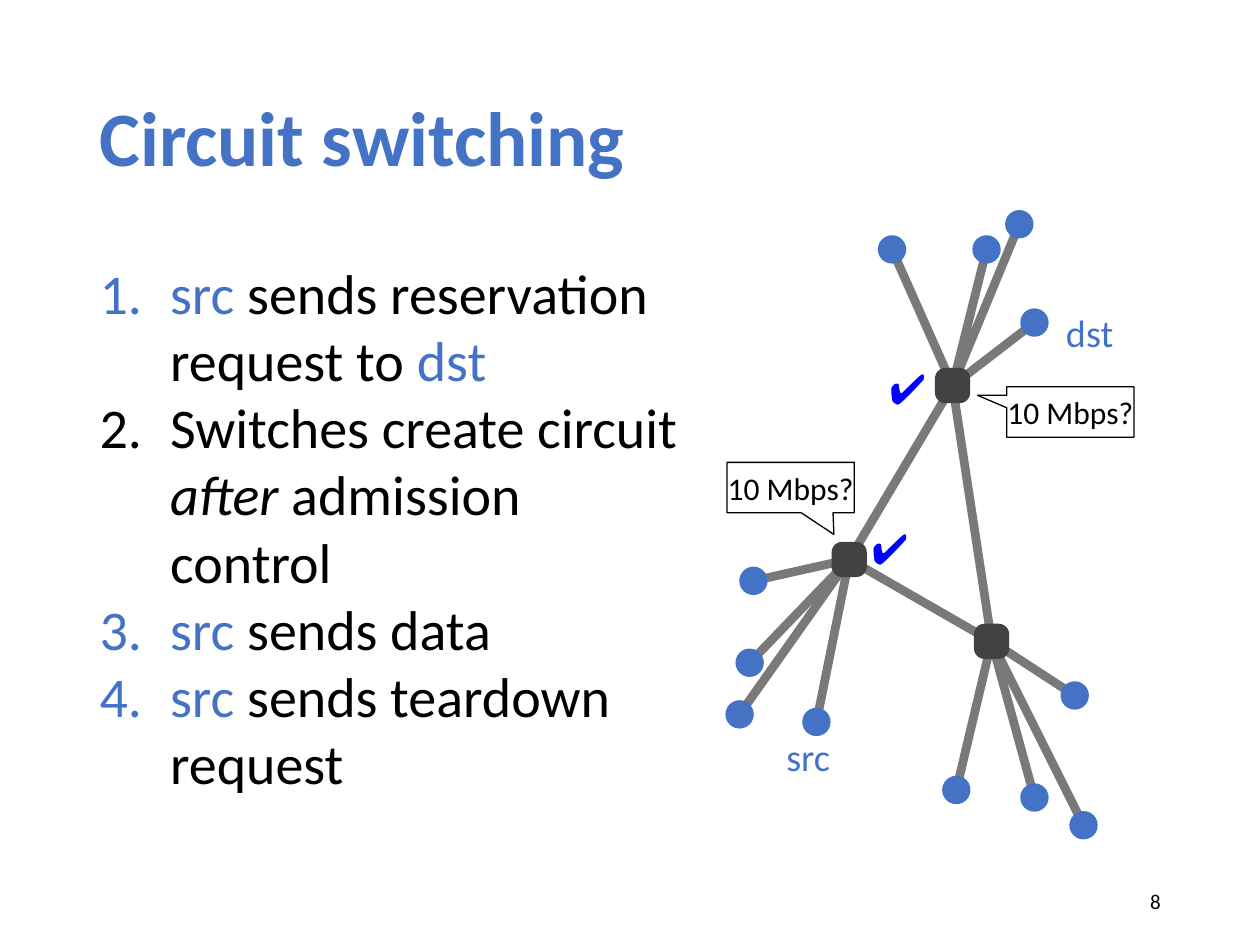
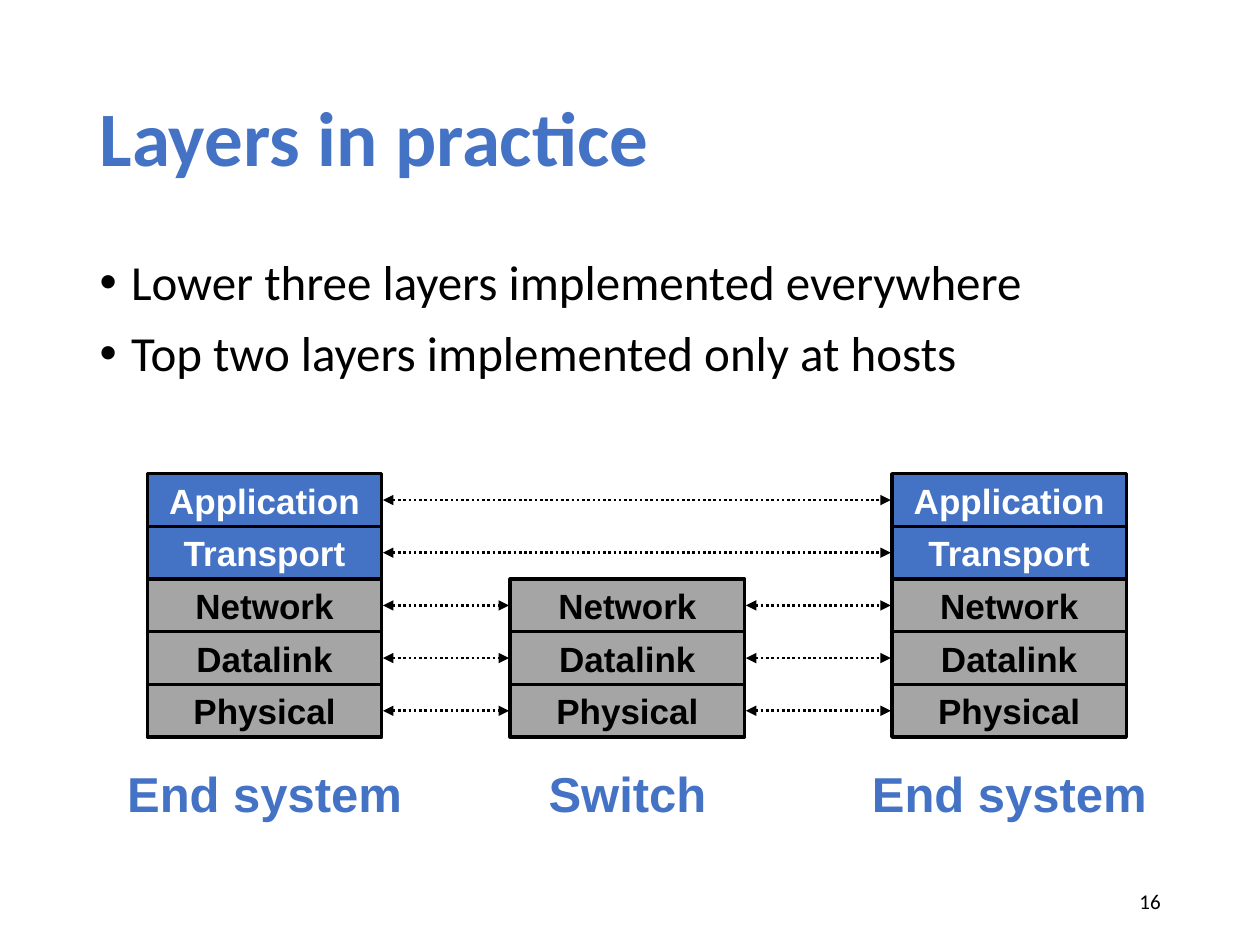
from lxml.etree import SubElement
from pptx import Presentation
from pptx.dml.color import RGBColor
from pptx.enum.dml import MSO_LINE
from pptx.enum.shapes import MSO_CONNECTOR, MSO_SHAPE
from pptx.enum.text import MSO_ANCHOR, MSO_AUTO_SIZE, PP_ALIGN
from pptx.oxml.ns import qn
from pptx.util import Inches, Pt

BLUE = RGBColor(0x44, 0x72, 0xC4)
CHECK_BLUE = RGBColor(0x00, 0x00, 0xFF)
BLACK = RGBColor(0x00, 0x00, 0x00)
WHITE = RGBColor(0xFF, 0xFF, 0xFF)
LINK_GRAY = RGBColor(0x79, 0x79, 0x79)
SWITCH_GRAY = RGBColor(0x42, 0x42, 0x42)
LAYER_GRAY = RGBColor(0xA5, 0xA5, 0xA5)

BODY_FONT, DIAGRAM_FONT = "Calibri", "Arial"
COLUMNS, ROWS = 100, 75
MARGIN, CONTENT_WIDTH = 6.9, 86.2


def write(para, text, size=18, color=BLACK, font=BODY_FONT, bold=False, italic=False):
    span = para.add_run()
    span.text = text
    span.font.size = Pt(size)
    span.font.color.rgb = color
    span.font.name = font
    span.font.bold = bold
    span.font.italic = italic


def set_bullet(para, tag, indent, **attributes):
    properties = para._p.get_or_add_pPr()
    properties.set("marL", str(Inches(indent)))
    properties.set("indent", str(-Inches(indent)))
    SubElement(properties, qn("a:buFont"), typeface="Arial" if tag == "a:buChar" else "+mj-lt")
    SubElement(properties, qn(tag), **attributes)


class SlideBuilder:
    """Places styled elements on the current slide, on a grid of 100 columns by 75 rows."""

    def __init__(self):
        self.deck = Presentation()
        self.deck.slide_width, self.deck.slide_height = Inches(10), Inches(7.5)
        self.slide = None

    def across(self, columns):
        return round(self.deck.slide_width * columns / COLUMNS)

    def down(self, rows):
        return round(self.deck.slide_height * rows / ROWS)

    def area(self, left, top, width, height):
        return self.across(left), self.down(top), self.across(width), self.down(height)

    def place(self, holder, *area):
        holder.left, holder.top, holder.width, holder.height = self.area(*area)
        holder.text_frame.auto_size = MSO_AUTO_SIZE.NONE

    def page(self, title, number):
        self.slide = self.deck.slides.add_slide(self.deck.slide_layouts[1])
        holder = self.slide.shapes.title
        self.place(holder, MARGIN, 4, CONTENT_WIDTH, 14.5)
        holder.text_frame.vertical_anchor = MSO_ANCHOR.MIDDLE
        para = holder.text_frame.paragraphs[0]
        para.alignment = PP_ALIGN.LEFT
        para.line_spacing = 0.9
        write(para, title, size=44, color=BLUE, bold=True)
        self.label(number, 70.6, 69.5, 22.5, 4, align=PP_ALIGN.RIGHT, wrap=True, size=12)

    def items(self, entries, width, size, bullet, indent, spacing=1.0, gap=0, **bullet_attributes):
        """Fill the body; each entry is a list of (text, format) pairs."""
        holder = self.slide.placeholders[1]
        self.place(holder, MARGIN, 20, width, 47.6)
        frame = holder.text_frame
        frame.vertical_anchor = MSO_ANCHOR.TOP
        for index, entry in enumerate(entries):
            para = frame.add_paragraph() if index else frame.paragraphs[0]
            set_bullet(para, bullet, indent, **bullet_attributes)
            para.line_spacing = spacing
            para.space_before = Pt(gap if index else 0)
            for text, style in entry:
                write(para, text, size=size, **style)

    def label(self, text, left, top, width, height, align=PP_ALIGN.LEFT, wrap=False,
              inset=None, anchor=MSO_ANCHOR.MIDDLE, **style):
        box = self.slide.shapes.add_textbox(*self.area(left, top, width, height))
        frame = box.text_frame
        frame.word_wrap = wrap
        frame.vertical_anchor = anchor
        if inset is not None:
            frame.margin_left = frame.margin_right = self.across(inset)
            frame.margin_top = frame.margin_bottom = self.down(inset)
        frame.paragraphs[0].alignment = align
        write(frame.paragraphs[0], text, **style)

    def shape(self, kind, left, top, width, height, fill=None, outline=0, adjust=(), text="", **style):
        shape = self.slide.shapes.add_shape(kind, *self.area(left, top, width, height))
        shape.shadow.inherit = False
        for index, value in enumerate(adjust):
            shape.adjustments[index] = value
        if fill is None:
            shape.fill.background()
        else:
            shape.fill.solid()
            shape.fill.fore_color.rgb = fill
        if outline:
            shape.line.color.rgb = BLACK
            shape.line.width = Pt(outline)
        else:
            shape.line.fill.background()
        if text:
            frame = shape.text_frame
            frame.word_wrap = False
            frame.vertical_anchor = MSO_ANCHOR.MIDDLE
            frame.paragraphs[0].alignment = PP_ALIGN.CENTER
            write(frame.paragraphs[0], text, **style)

    def node(self, kind, center, size, fill, **options):
        x, y = center
        self.shape(kind, x - size / 2, y - size / 2, size, size, fill, **options)

    def line(self, start, end, color, weight, arrows=False):
        (x1, y1), (x2, y2) = start, end
        connector = self.slide.shapes.add_connector(
            MSO_CONNECTOR.STRAIGHT, self.across(x1), self.down(y1), self.across(x2), self.down(y2))
        connector.line.color.rgb = color
        connector.line.width = Pt(weight)
        if arrows:
            connector.line.dash_style = MSO_LINE.ROUND_DOT
            outline = connector.line._get_or_add_ln()
            for tag in ("a:headEnd", "a:tailEnd"):
                SubElement(outline, qn(tag), type="triangle")
        SubElement(connector._element.spPr, qn("a:effectLst"))


def build_circuit_switching(builder):
    builder.page("Circuit switching", "8")
    blue, plain, italic = {"color": BLUE}, {}, {"italic": True}
    builder.items([
        [("src ", blue), ("sends reservation request to ", plain), ("dst", blue)],
        [("Switches create circuit ", plain), ("after", italic), (" admission control", plain)],
        [("src ", blue), ("sends data", plain)],
        [("src ", blue), ("sends teardown request", plain)],
    ], width=49, size=32, bullet="a:buAutoNum", indent=0.56, type="arabicPeriod")

    north, west, south = (75.6, 30.6), (67.4, 44.4), (78.7, 50.9)
    hosts = {
        north: [(70.8, 19.8), (78.3, 19.8), (80.9, 17.8), (82.1, 25.6)],
        west: [(59.8, 46.1), (59.5, 52.6), (58.7, 56.7), (64.8, 57.3)],
        south: [(75.9, 62.7), (82.1, 63.3), (86, 65.5), (85.3, 55.2)],
    }
    links = [(north, west), (west, south), (south, north)]
    links += [(switch, host) for switch, group in hosts.items() for host in group]
    for start, end in links:
        builder.line(start, end, LINK_GRAY, 5)
    for switch, group in hosts.items():
        for host in group:
            builder.node(MSO_SHAPE.OVAL, host, 2.25, BLUE)
        builder.node(MSO_SHAPE.ROUNDED_RECTANGLE, switch, 2.8, SWITCH_GRAY, adjust=[0.3])

    for name, left, top in [("dst", 84.2, 24.1), ("src", 62, 57.8)]:
        builder.label(name, left, top, 5.5, 4.5, inset=0.4, size=21.8, color=BLUE)
    for left, top, pointer in [(57.7, 36.7, (0.34, 0.93)), (79.9, 30.7, (-0.73, -0.33))]:
        builder.shape(MSO_SHAPE.RECTANGULAR_CALLOUT, left, top, 10.1, 4, outline=0.75,
                      adjust=pointer, text="10 Mbps?", size=18)
    for left, top in [(68.2, 41), (69.6, 28.3)]:
        builder.label("✔️", left, top, 5.4, 5, anchor=MSO_ANCHOR.TOP, size=24, color=CHECK_BLUE)


def build_layers_in_practice(builder):
    builder.page("Layers in practice", "16")
    builder.items([
        [("Lower three layers implemented everywhere", {})],
        [("Top two layers implemented only at hosts", {})],
    ], width=CONTENT_WIDTH, size=28, bullet="a:buChar", indent=0.25, spacing=0.9, gap=10, char="•")

    layers = ["Application", "Transport", "Network", "Datalink", "Physical"]
    host_only = 2
    stack_top, layer_height, stack_width = 37.6, 4.18, 18.6
    sender, switch, receiver = 11.7, 40.5, 70.8
    systems = [("End system", sender, 0, 24.1), ("Switch", switch, host_only, 14.7),
               ("End system", receiver, 0, 24.1)]

    for name, left, first_layer, label_width in systems:
        for index in range(first_layer, len(layers)):
            fill, color = (BLUE, WHITE) if index < host_only else (LAYER_GRAY, BLACK)
            builder.shape(MSO_SHAPE.RECTANGLE, left, stack_top + index * layer_height,
                          stack_width, layer_height, fill, outline=2, text=layers[index],
                          size=20, color=color, font=DIAGRAM_FONT, bold=True)
        builder.label(name, left + (stack_width - label_width) / 2, 60.1, label_width, 5.7,
                      align=PP_ALIGN.CENTER, size=28, color=BLUE, font=DIAGRAM_FONT, bold=True)

    for index in range(len(layers)):
        middle = stack_top + (index + 0.5) * layer_height
        peers = [sender, receiver] if index < host_only else [sender, switch, receiver]
        for left, right in zip(peers, peers[1:]):
            builder.line((left + stack_width + 0.1, middle), (right - 0.1, middle),
                         BLACK, 1.5, arrows=True)


def main():
    builder = SlideBuilder()
    build_circuit_switching(builder)
    build_layers_in_practice(builder)
    builder.deck.save("out.pptx")


if __name__ == "__main__":
    main()
